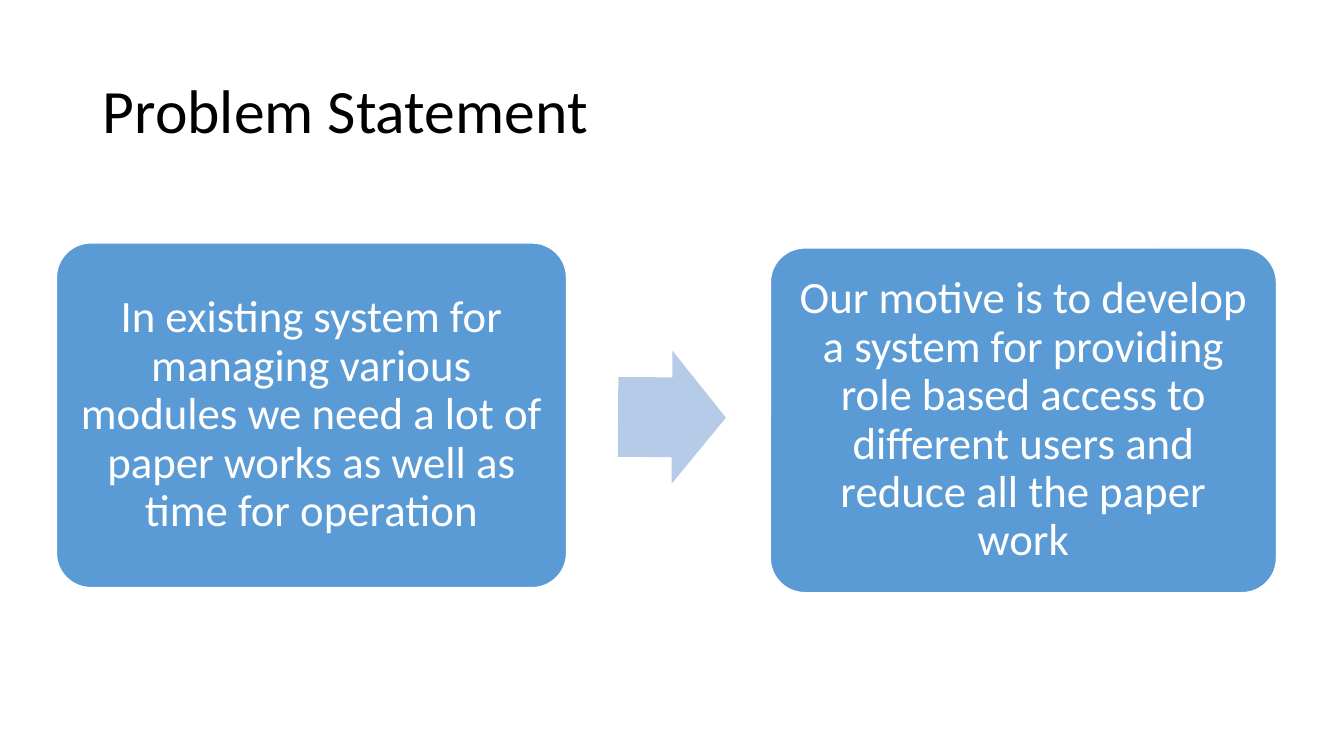
from pptx import Presentation
from pptx.dml.color import RGBColor
from pptx.enum.shapes import MSO_SHAPE as Shape
from pptx.enum.text import MSO_ANCHOR as Anchor, PP_ALIGN as Align
from pptx.util import Inches, Pt

BLACK = RGBColor(0x00, 0x00, 0x00)
WHITE = RGBColor(0xFF, 0xFF, 0xFF)
BLUE = RGBColor(0x5B, 0x9B, 0xD5)
PALE_BLUE = RGBColor(0xB5, 0xCB, 0xE7)
FONT = "Calibri"

# Content: text, left, top, width of each step
TITLE = "Problem Statement"
STEPS = [
    ("In existing system for managing various modules we need a lot of "
     "paper works as well as time for operation", 0.56, 2.41, 5.06),
    ("Our motive is to develop a system for providing role based access to "
     "different users and reduce all the paper work", 7.64, 2.46, 5.02),
]
STEP_HEIGHT = 3.42
STEP_INSET = Inches(0.13)


def write(frame, text, size, color, align):
    frame.text = text
    frame.word_wrap = True
    frame.vertical_anchor = Anchor.MIDDLE
    para = frame.paragraphs[0]
    para.alignment = align
    para.line_spacing = 0.9
    font = para.runs[0].font
    font.name, font.size, font.color.rgb = FONT, Pt(size), color


def add_filled(kind, left, top, width, height, fill):
    shape = slide.shapes.add_shape(
        kind, Inches(left), Inches(top), Inches(width), Inches(height))
    shape.shadow.inherit = False
    shape.fill.solid()
    shape.fill.fore_color.rgb = fill
    return shape


deck = Presentation()
deck.slide_width, deck.slide_height = Inches(13.33), Inches(7.5)
slide = deck.slides.add_slide(deck.slide_layouts[5])

# Title
title = slide.shapes.title
title.left, title.top = Inches(0.92), Inches(0.4)
title.width, title.height = Inches(11.5), Inches(1.45)
write(title.text_frame, TITLE, 44, BLACK, Align.LEFT)

# Problem and solution boxes
for text, left, top, width in STEPS:
    box = add_filled(Shape.ROUNDED_RECTANGLE, left, top, width, STEP_HEIGHT, BLUE)
    box.adjustments[0] = 0.1
    box.line.color.rgb = WHITE
    box.line.width = Pt(1)
    frame = box.text_frame
    frame.margin_left = frame.margin_right = STEP_INSET
    frame.margin_top = frame.margin_bottom = STEP_INSET
    write(frame, text, 32, WHITE, Align.CENTER)

# Arrow from problem to solution
arrow = add_filled(Shape.RIGHT_ARROW, 6.13, 3.48, 1.07, 1.32, PALE_BLUE)
arrow.adjustments[0] = 0.6
arrow.adjustments[1] = 0.5
arrow.rotation = 0.4
arrow.line.fill.background()

deck.save("out.pptx")
